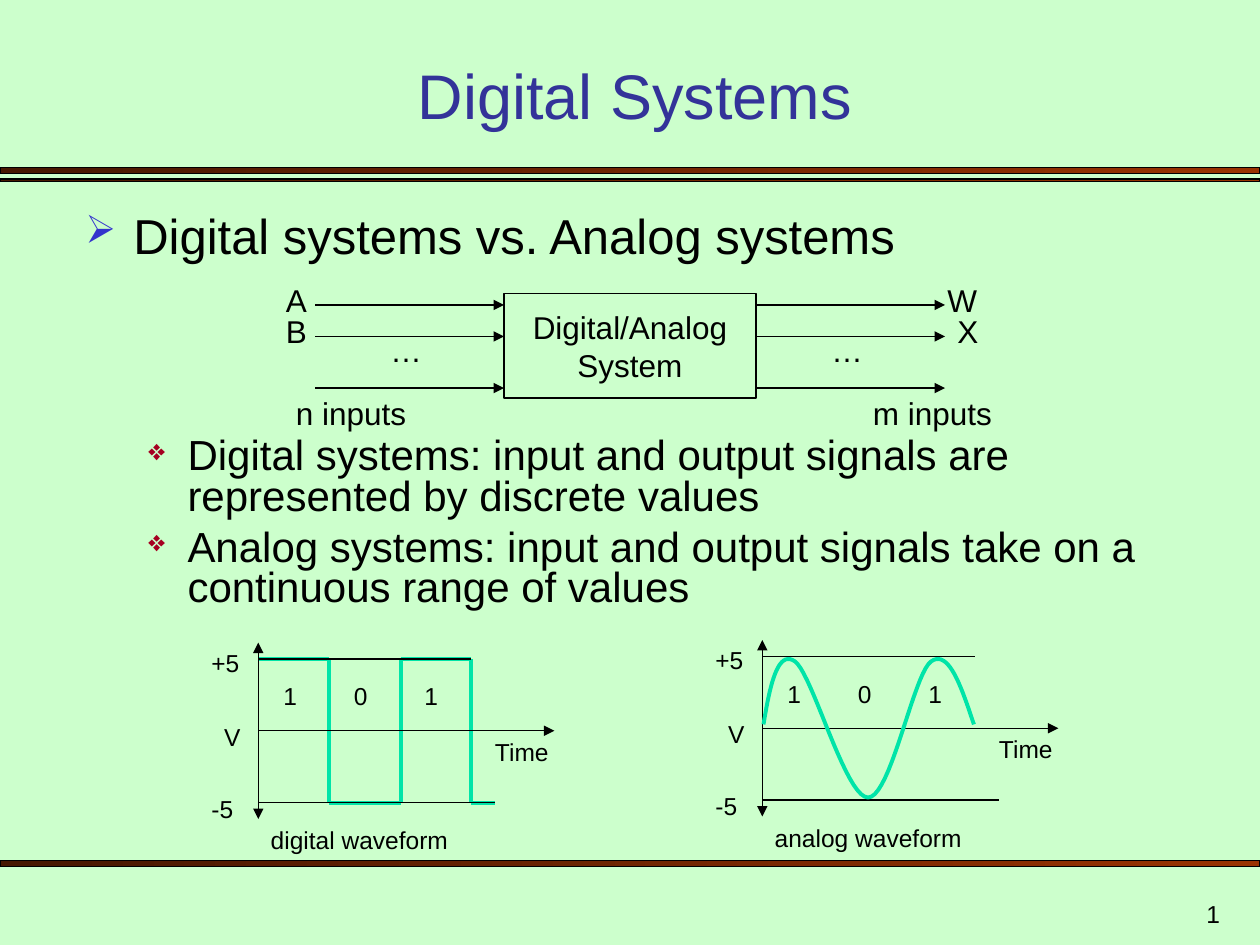
from itertools import pairwise

from lxml import etree
from pptx import Presentation
from pptx.dml.color import RGBColor
from pptx.enum import shapes, text
from pptx.oxml import ns
from pptx.util import Inches, Pt

MINT = RGBColor(0xCC, 0xFF, 0xCC)
BLACK = RGBColor(0, 0, 0)
NAVY = RGBColor(0x33, 0x33, 0x99)
BLUE = RGBColor(0x33, 0x33, 0xCC)
RED = RGBColor(0xA5, 0x00, 0x21)
RUST = RGBColor(0x99, 0x33, 0x00)
BROWN = RGBColor(0x46, 0x17, 0x00)
GREEN = RGBColor(0x00, 0xE4, 0xA8)
LEFT, MID, RIGHT = text.PP_ALIGN.LEFT, text.PP_ALIGN.CENTER, text.PP_ALIGN.RIGHT
TOP, BASE = text.MSO_ANCHOR.TOP, text.MSO_ANCHOR.BOTTOM


def style(para, size, color=BLACK, align=LEFT):
    para.alignment = align
    para.font.name = "Arial"
    para.font.size = Pt(size)
    para.font.color.rgb = color


def label(slide, words, x, y, w, h, size, color=BLACK, align=LEFT, anchor=TOP):
    box = slide.shapes.add_textbox(Inches(x), Inches(y), Inches(w), Inches(h))
    frame = box.text_frame
    frame.word_wrap = True
    frame.vertical_anchor = anchor
    frame.text = words
    style(frame.paragraphs[0], size, color, align)


def line(slide, start, end, color=BLACK, width=0.75, tips=()):
    link = slide.shapes.add_connector(
        shapes.MSO_CONNECTOR.STRAIGHT, *map(Inches, (*start, *end)))
    link.line.color.rgb = color
    link.line.width = Pt(width)
    pen = link.line._get_or_add_ln()
    for tip in tips:
        etree.SubElement(pen, ns.qn(f"a:{tip}"), type="triangle")
    etree.SubElement(link._element.spPr, ns.qn("a:effectLst"))


def band(slide, y, h):
    bar = slide.shapes.add_shape(
        shapes.MSO_SHAPE.RECTANGLE, 0, Inches(y), Inches(10), Inches(h))
    bar.shadow.inherit = False
    bar.fill.gradient()
    bar.fill.gradient_angle = 180
    for stop, color in zip(bar.fill.gradient_stops, (RUST, BROWN)):
        stop.color.rgb = color
    bar.line.color.rgb = BLACK
    bar.line.width = Pt(0.75)


def bullet(para, mark, color, scale, indent, hang):
    props = para._p.get_or_add_pPr()
    props.set("marL", str(Inches(indent)))
    props.set("indent", str(-Inches(hang)))
    tint = etree.SubElement(props, ns.qn("a:buClr"))
    etree.SubElement(tint, ns.qn("a:srgbClr"), val=str(color))
    etree.SubElement(props, ns.qn("a:buSzPct"), val=str(scale * 1000))
    etree.SubElement(props, ns.qn("a:buChar"), char=mark)


def body(slide, x, y, w, h):
    frame = slide.shapes.add_textbox(
        Inches(x), Inches(y), Inches(w), Inches(h)).text_frame
    frame.word_wrap = True
    head = ("➢", BLUE, 80, 0.38, 0.38)
    sub = ("❖", RED, 70, 0.81, 0.31)
    rows = [
        ("Digital systems vs. Analog systems", 28, 7, head),
        ("Digital systems: input and output signals are "
         "represented by discrete values", 24, 100, sub),
        ("Analog systems: input and output signals take on a "
         "continuous range of values", 24, 6, sub),
    ]
    for i, (words, size, gap, mark) in enumerate(rows):
        para = frame.add_paragraph() if i else frame.paragraphs[0]
        para.text = words
        para.line_spacing = 0.8
        para.space_before = Pt(gap)
        bullet(para, *mark)
        style(para, size)


def system(slide, x, y, w, h):
    box = slide.shapes.add_shape(
        shapes.MSO_SHAPE.RECTANGLE, Inches(x), Inches(y), Inches(w), Inches(h))
    box.shadow.inherit = False
    box.fill.background()
    box.line.color.rgb = BLACK
    box.line.width = Pt(0.75)
    frame = box.text_frame
    frame.word_wrap = False
    frame.vertical_anchor = text.MSO_ANCHOR.MIDDLE
    frame.text = "Digital/Analog\nSystem"
    for para in frame.paragraphs:
        style(para, 18, align=MID)

    for left in (x - 1.5, x + w):
        for drop in (0.09, 0.34, 0.75):
            line(slide, (left, y + drop), (left + 1.5, y + drop), tips=["tailEnd"])
        label(slide, "…", left + 0.5, y + 0.25, 0.4, 0.4, 18)
    for words, dx, dy, wide in (
            ("A", -1.83, -0.15, 0.33), ("B", -1.83, 0.1, 0.33),
            ("W", 3.42, -0.15, 0.42), ("X", 3.5, 0.1, 0.33),
            ("n inputs", -1.75, 0.75, 1.25), ("m inputs", 2.83, 0.75, 1.25)):
        label(slide, words, x + dx, y + dy, wide, 0.4, 18)


def axes(slide, x, y, name):
    line(slide, (x, y + 0.7), (x + 2.35, y + 0.7), tips=["tailEnd"])
    line(slide, (x, y), (x, y + 1.4), tips=["headEnd", "tailEnd"])
    line(slide, (x, y + 0.13), (x + 1.69, y + 0.13))
    line(slide, (x, y + 1.27), (x + 1.88, y + 1.27))
    for words, dx, dy, wide in (
            ("+5", -0.47, -0.01, 0.5), ("V", -0.37, 0.58, 0.56),
            ("-5", -0.47, 1.15, 0.56), ("Time", 1.78, 0.7, 0.75),
            (name, 0, 1.4, 1.88)):
        label(slide, words, x + dx, y + dy, wide, 0.34, 14)
    for i, bit in enumerate("101"):
        label(slide, bit, x + 0.1 + 0.56 * i, y + 0.26, 0.47, 0.34, 14)


def square(slide, x, y):
    high, low = y + 0.13, y + 1.27
    steps = [(0, high), (0.56, high), (0.56, low), (1.13, low),
             (1.13, high), (1.69, high), (1.69, low), (1.88, low)]
    for (ax, ay), (bx, by) in pairwise(steps):
        line(slide, (x + ax, ay), (x + bx, by), GREEN, 2.25)


def bezier(a, b, c, d, t):
    s = 1 - t
    return tuple(s**3 * p + 3 * s * s * t * q + 3 * s * t * t * r + t**3 * v
                 for p, q, r, v in zip(a, b, c, d))


def sine(slide, x, y):
    knots = [(0.01, 0.67), (0.06, 0.37), (0.12, 0.07), (0.26, 0.17),
             (0.4, 0.27), (0.66, 1.25), (0.84, 1.25),
             (1.02, 1.25), (1.2, 0.27), (1.34, 0.17),
             (1.48, 0.07), (1.58, 0.37), (1.68, 0.67)]
    dots = [bezier(*knots[i:i + 4], n / 20)
            for i in range(0, 12, 3) for n in range(21)]
    dots = [(Inches(x + dx), Inches(y + dy)) for dx, dy in dots]
    pen = slide.shapes.build_freeform(*dots[0])
    pen.add_line_segments(dots[1:], close=False)
    wave = pen.convert_to_shape()
    wave.shadow.inherit = False
    wave.fill.background()
    wave.line.color.rgb = GREEN
    wave.line.width = Pt(2.25)


def main():
    deck = Presentation()
    deck.slide_width, deck.slide_height = Inches(10), Inches(7.5)
    slide = deck.slides.add_slide(deck.slide_layouts[6])
    slide.background.fill.solid()
    slide.background.fill.fore_color.rgb = MINT
    for y, h in ((1.33, 0.05), (1.42, 0.02), (6.83, 0.05)):
        band(slide, y, h)
    label(slide, "Digital Systems", 0.58, 0.42, 8.92, 0.68, 36, NAVY, MID, BASE)
    body(slide, 0.58, 1.67, 8.92, 3.58)
    system(slide, 4, 2.33, 2, 0.83)
    square(slide, 2.05, 5.1)
    axes(slide, 2.05, 5.1, "digital waveform")
    axes(slide, 6.05, 5.08, "analog waveform")
    sine(slide, 6.05, 5.08)
    label(slide, "1", 7.7, 7, 2.08, 0.42, 14, align=RIGHT, anchor=BASE)
    deck.save("out.pptx")


if __name__ == "__main__":
    main()
